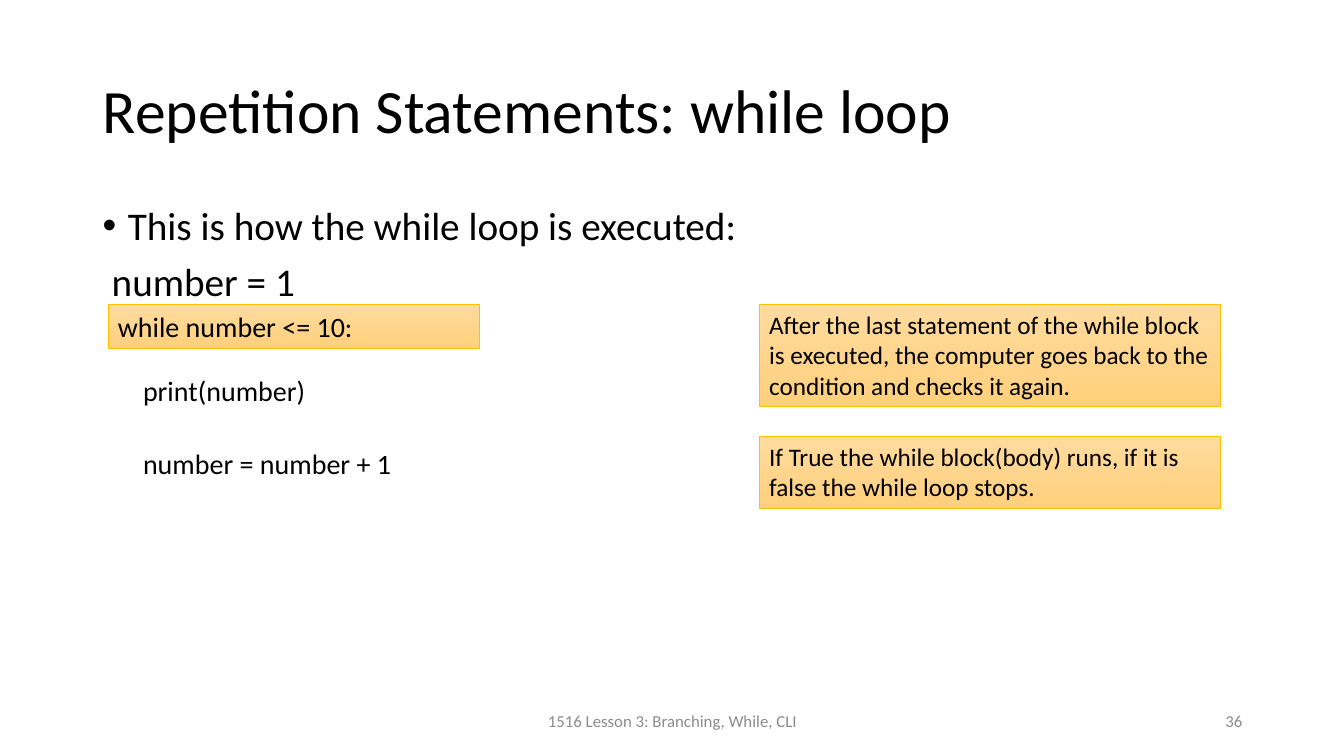
from pptx import Presentation
from pptx import util as u
from pptx.dml.color import RGBColor
from pptx.enum import shapes, text
from pptx.oxml.ns import qn
from lxml import etree

COLORS = {
    "text": "000000",
    "muted": "8C8C8C",
    "white": "FFFFFF",
    "amber_top": "FFDB9E",
    "amber_bottom": "FFD07C",
    "amber_line": "FFC000",
}


def rgb(name):
    return RGBColor.from_string(COLORS[name])


def write(p, content, size=18, color="text", align=text.PP_ALIGN.LEFT,
          line=1.0, before=0, indent=0, bullet=None):
    """Fill a paragraph; indent is in inches, before in points."""
    p.alignment = align
    p.line_spacing = line
    p.space_before = u.Pt(before)
    pPr = p._p.get_or_add_pPr()
    pPr.set("marL", str(u.Inches(indent)))
    pPr.set("indent", str(-u.Inches(indent) if bullet else 0))
    if bullet:
        etree.SubElement(pPr, qn("a:buFont"), typeface="Arial")
        etree.SubElement(pPr, qn("a:buChar"), char=bullet)
    r = p.add_run()
    r.text = content
    r.font.name = "Calibri"
    r.font.size = u.Pt(size)
    r.font.color.rgb = rgb(color)


class SlideBuilder:
    font_line = {"line": 0.9, "before": 10}

    def __init__(self, prs):
        self.s = prs.slides.add_slide(prs.slide_layouts[6])

    def textbox(self, x, y, w, h, lines, anchor=text.MSO_ANCHOR.MIDDLE):
        """Add a text box; lines holds (content, format) pairs."""
        sp = self.s.shapes.add_textbox(*map(u.Inches, (x, y, w, h)))
        tf = sp.text_frame
        tf.word_wrap = True
        tf.vertical_anchor = anchor
        for i, (content, fmt) in enumerate(lines):
            p = tf.add_paragraph() if i else tf.paragraphs[0]
            write(p, content, **fmt)

    def box(self, x, y, w, h, content, amber=True, **fmt):
        """Add a rectangle, amber with an outline or plain white."""
        sp = self.s.shapes.add_shape(shapes.MSO_SHAPE.RECTANGLE,
                                     *map(u.Inches, (x, y, w, h)))
        sp.shadow.inherit = False
        if amber:
            sp.fill.gradient()
            sp.fill.gradient_angle = 270
            for stop, name in zip(sp.fill.gradient_stops,
                                  ("amber_top", "amber_bottom")):
                stop.color.rgb = rgb(name)
            sp.line.color.rgb = rgb("amber_line")
            sp.line.width = u.Pt(0.5)
        else:
            sp.fill.solid()
            sp.fill.fore_color.rgb = rgb("white")
            sp.line.fill.background()
        tf = sp.text_frame
        tf.word_wrap = True
        tf.vertical_anchor = text.MSO_ANCHOR.TOP
        write(tf.paragraphs[0], content, **fmt)


def main():
    prs = Presentation()
    prs.slide_width, prs.slide_height = u.Inches(13.33), u.Inches(7.5)
    b = SlideBuilder(prs)

    # Title and body
    b.textbox(0.92, 0.4, 11.5, 1.45, [
        ("Repetition Statements: while loop", {"size": 44, "line": 0.9})])
    b.textbox(0.92, 2, 11.5, 4.76, [
        ("This is how the while loop is executed:",
         {"size": 28, "indent": 0.25, "bullet": "•", **b.font_line}),
        ("number = 1", {"size": 28, "indent": 0.09, **b.font_line}),
    ], anchor=text.MSO_ANCHOR.TOP)

    # Code lines
    for y, code, is_condition in (
            (3.02, "while number <= 10:", True),
            (3.66, "print(number)", False),
            (4.38, "number = number + 1", False)):
        b.box(1.07, y, 3.68, 0.44, code, amber=is_condition, size=20,
              indent=0 if is_condition else 0.25)

    # Explanations
    for y, h, note in (
            (3.02, 1.01, "After the last statement of the while block is executed, "
                         "the computer goes back to the condition and checks it again."),
            (4.33, 0.71, "If True the while block(body) runs, "
                         "if it is false the while loop stops.")):
        b.box(7.53, y, 4.57, h, note)

    # Footer and slide number
    for x, w, content, align in (
            (4.42, 4.5, "1516 Lesson 3: Branching, While, CLI", text.PP_ALIGN.CENTER),
            (9.42, 3, "36", text.PP_ALIGN.RIGHT)):
        b.textbox(x, 6.95, w, 0.4,
                  [(content, {"size": 12, "color": "muted", "align": align})])

    prs.save("out.pptx")


if __name__ == "__main__":
    main()
